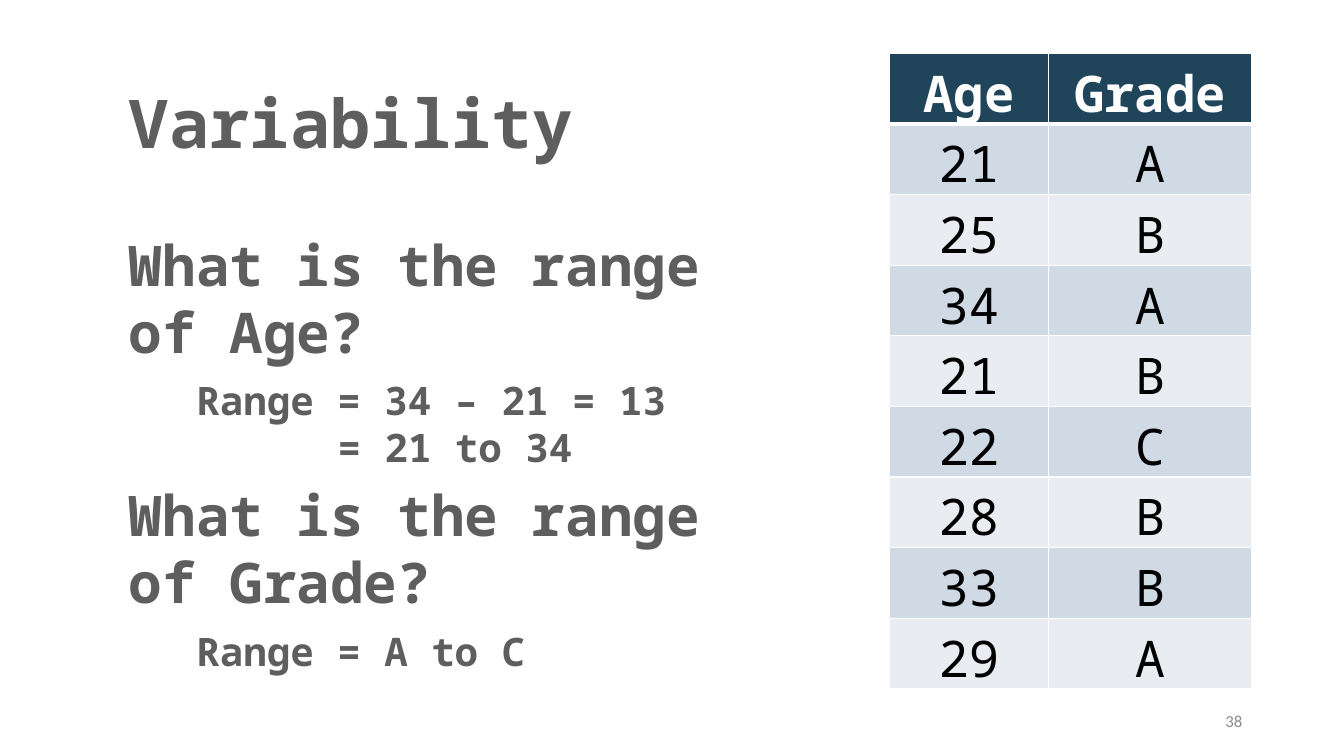
"""Build the Variability slide: range questions beside a table of ages and grades."""
import pptx
import pptx.dml.color
import pptx.enum.text
import pptx.oxml
import pptx.oxml.ns
import pptx.util
from dataclasses import dataclass

Inches = pptx.util.Inches
Pt = pptx.util.Pt
Align = pptx.enum.text.PP_ALIGN
Anchor = pptx.enum.text.MSO_ANCHOR
Fit = pptx.enum.text.MSO_AUTO_SIZE


@dataclass(frozen=True)
class Theme:
    mono: str = "Noto Sans Mono"
    sans: str = "Calibri"
    ink: str = "5E5E5E"
    pale: str = "8C8C8C"
    white: str = "FFFFFF"
    black: str = "000000"
    head: str = "20455A"
    bands: tuple = ("CFDAE5", "E9EDF2")
    title: int = 48
    ask: int = 40
    cell: int = 36
    reply: int = 28
    page: int = 12


THEME = Theme()
LEFT, INSET, WIDE = 1.18, 1.85, 6.3
NOTES = [
    (["Variability"], (LEFT, 0.76, 5.39, 0.91), THEME.title),
    (["What is the range of Age?"], (LEFT, 2.24, WIDE, 1.45), THEME.ask),
    (["Range = 34 – 21 = 13", "= 21 to 34"], (INSET, 3.68, WIDE, 1.04), THEME.reply),
    (["What is the range of Grade?"], (LEFT, 4.72, WIDE, 1.45), THEME.ask),
    (["Range = A to C"], (INSET, 6.17, WIDE, 0.57), THEME.reply),
]
HANG = 1.4
PAGE = ("38", (9.42, 6.95, 3, 0.4))
ROWS = [
    ("Age", "Grade"),
    ("21", "A"), ("25", "B"), ("34", "A"), ("21", "B"),
    ("22", "C"), ("28", "B"), ("33", "B"), ("29", "A"),
]
GRID = (8.82, 0.53)
COLS = (1.58, 2.01)
HIGH = 0.7


def style(para, face, size, color, bold=False, align=Align.LEFT):
    para.alignment = align
    font = para.font
    font.name, font.size, font.bold = face, Pt(size), bold
    font.color.rgb = pptx.dml.color.RGBColor.from_string(color)


def add_box(slide, place):
    box = slide.shapes.add_textbox(*map(Inches, place))
    box.text_frame.word_wrap = True
    return box.text_frame


def add_note(slide, lines, place, size):
    frame = add_box(slide, place)
    frame.auto_size = Fit.SHAPE_TO_FIT_TEXT
    frame.text = "\n".join(lines)
    for index, para in enumerate(frame.paragraphs):
        if index:
            para._p.get_or_add_pPr().set("marL", str(Inches(HANG)))
        style(para, THEME.mono, size, THEME.ink, True)


def add_edges(cell, top, base):
    props = cell._tc.get_or_add_tcPr()
    for side, width in zip("LRTB", (1, 1, top, base)):
        props.append(pptx.oxml.parse_xml(
            f'<a:ln{side} {pptx.oxml.ns.nsdecls("a")} w="{Pt(width)}"><a:solidFill>'
            f'<a:srgbClr val="{THEME.white}"/></a:solidFill></a:ln{side}>'))


def add_grid(slide):
    size = (sum(COLS), HIGH * len(ROWS))
    grid = slide.shapes.add_table(
        len(ROWS), len(COLS), *map(Inches, GRID + size)).table
    for col, width in zip(grid.columns, COLS):
        col.width = Inches(width)
    for r, row in enumerate(ROWS):
        grid.rows[r].height = Inches(HIGH)
        head = r == 0
        fill = THEME.head if head else THEME.bands[(r - 1) % 2]
        color = THEME.white if head else THEME.black
        for c, text in enumerate(row):
            cell = grid.cell(r, c)
            cell.text = text
            add_edges(cell, 3 if r == 1 else 1, 3 if head else 1)
            cell.fill.solid()
            cell.fill.fore_color.rgb = pptx.dml.color.RGBColor.from_string(fill)
            style(cell.text_frame.paragraphs[0], THEME.mono, THEME.cell,
                  color, head, Align.CENTER)


def main():
    deck = pptx.Presentation()
    deck.slide_width, deck.slide_height = Inches(13.33), Inches(7.5)
    slide = deck.slides.add_slide(deck.slide_layouts[6])
    for lines, place, size in NOTES:
        add_note(slide, lines, place, size)
    add_grid(slide)
    text, place = PAGE
    frame = add_box(slide, place)
    frame.text = text
    frame.vertical_anchor = Anchor.MIDDLE
    style(frame.paragraphs[0], THEME.sans, THEME.page, THEME.pale, align=Align.RIGHT)
    deck.save("out.pptx")


if __name__ == "__main__":
    main()
